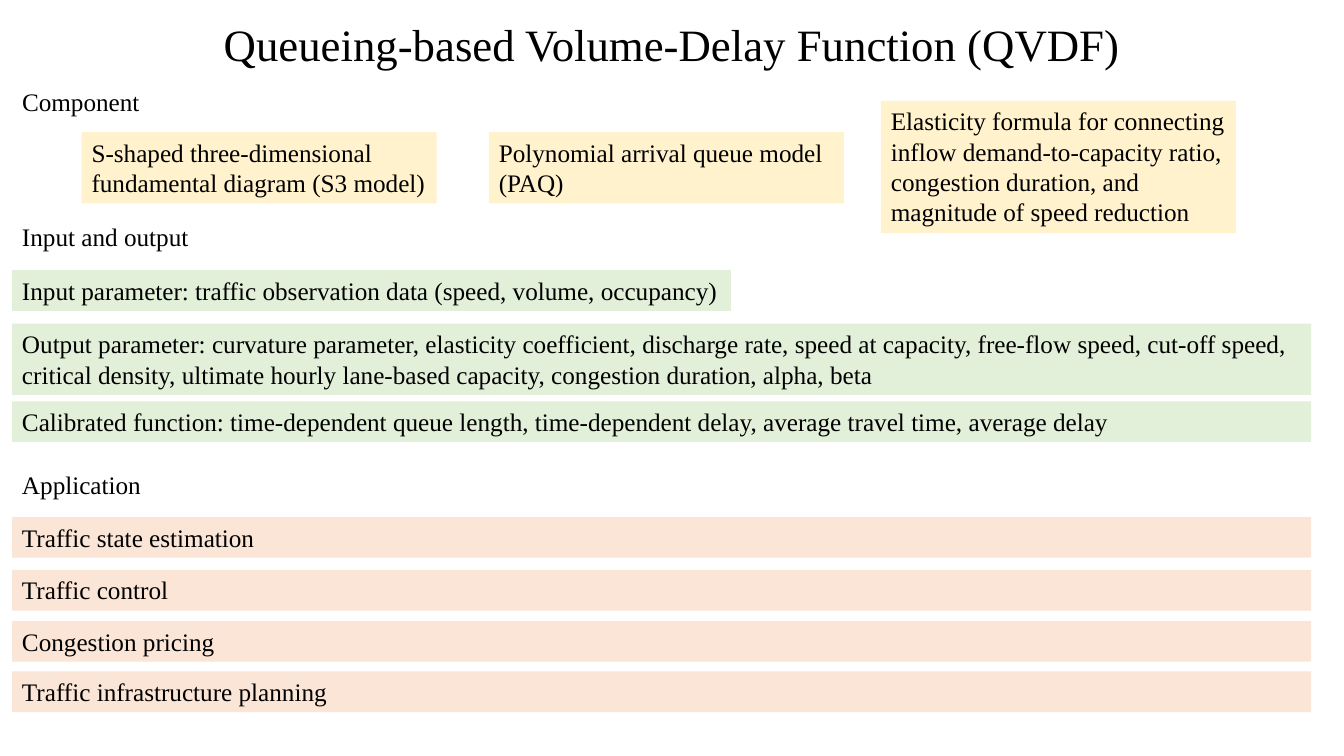
from pptx import Presentation
from pptx.dml.color import RGBColor
from pptx.enum.text import MSO_ANCHOR, MSO_AUTO_SIZE as Fit, PP_ALIGN
from pptx.util import Pt

COLORS = {
    "text": "000000",
    "component": "FFF2CC",
    "data": "E2F0D9",
    "application": "FBE5D6",
}
FONT = "Times New Roman"
LEFT, FULL, LINE, TWO_LINES = 8.64, 928, 29.1, 50.9

COMPONENTS = [
    (58.3, 94.4, TWO_LINES, "S-shaped three-dimensional fundamental diagram (S3 model)"),
    (349.2, 94.4, TWO_LINES, "Polynomial arrival queue model (PAQ)"),
    (629.3, 72, 94.5, "Elasticity formula for connecting inflow demand-to-capacity ratio, "
                      "congestion duration, and magnitude of speed reduction"),
]
DATA = [
    (193, 513.4, LINE, "Input parameter: traffic observation data (speed, volume, occupancy)"),
    (231.2, FULL, TWO_LINES, "Output parameter: curvature parameter, elasticity coefficient, "
                             "discharge rate, speed at capacity, free-flow speed, cut-off speed, "
                             "critical density, ultimate hourly lane-based capacity, "
                             "congestion duration, alpha, beta"),
    (286.6, FULL, LINE, "Calibrated function: time-dependent queue length, "
                        "time-dependent delay, average travel time, average delay"),
]
APPLICATIONS = [
    (369.3, "Traffic state estimation"),
    (407, "Traffic control"),
    (443.6, "Congestion pricing"),
    (479.5, "Traffic infrastructure planning"),
]
HEADINGS = [
    (57.9, 99.4, "Component"),
    (154.8, 134.6, "Input and output"),
    (331.6, 100, "Application"),
]


class Deck:
    """Holds the text style and the current slide."""

    def __init__(self, slide):
        self.slide = slide
        self.font = FONT
        self.color = RGBColor.from_string(COLORS["text"])

    def set_text(self, s, text, size, wrap, align=PP_ALIGN.LEFT):
        tf = s.text_frame
        tf.word_wrap = wrap
        tf.auto_size = Fit.SHAPE_TO_FIT_TEXT
        p = tf.paragraphs[0]
        p.text = text
        p.alignment = align
        p.font.name = self.font
        p.font.size = Pt(size)
        p.font.color.rgb = self.color

    def title(self, x, y, w, h, text):
        s = self.slide.shapes.title
        s.left, s.top, s.width, s.height = Pt(x), Pt(y), Pt(w), Pt(h)
        self.set_text(s, text, 32, False, PP_ALIGN.CENTER)
        s.text_frame.vertical_anchor = MSO_ANCHOR.TOP

    def heading(self, x, y, w, h, text):
        s = self.slide.shapes.add_textbox(Pt(x), Pt(y), Pt(w), Pt(h))
        self.set_text(s, text, 18, False)

    def band(self, x, y, w, h, text, color):
        s = self.slide.shapes.add_textbox(Pt(x), Pt(y), Pt(w), Pt(h))
        s.fill.solid()
        s.fill.fore_color.rgb = RGBColor.from_string(COLORS[color])
        self.set_text(s, text, 18, True)


def main():
    prs = Presentation()
    prs.slide_width, prs.slide_height = Pt(960), Pt(540)
    deck = Deck(prs.slides.add_slide(prs.slide_layouts[5]))
    deck.title(149.8, 8.6, 660.4, 46, "Queueing-based Volume-Delay Function (QVDF)")
    for x, y, h, text in COMPONENTS:
        deck.band(x, y, 253.6, h, text, "component")
    for y, w, h, text in DATA:
        deck.band(LEFT, y, w, h, text, "data")
    for y, text in APPLICATIONS:
        deck.band(LEFT, y, FULL, LINE, text, "application")
    for y, w, text in HEADINGS:
        deck.heading(LEFT, y, w, LINE, text)
    prs.save("out.pptx")


if __name__ == "__main__":
    main()
